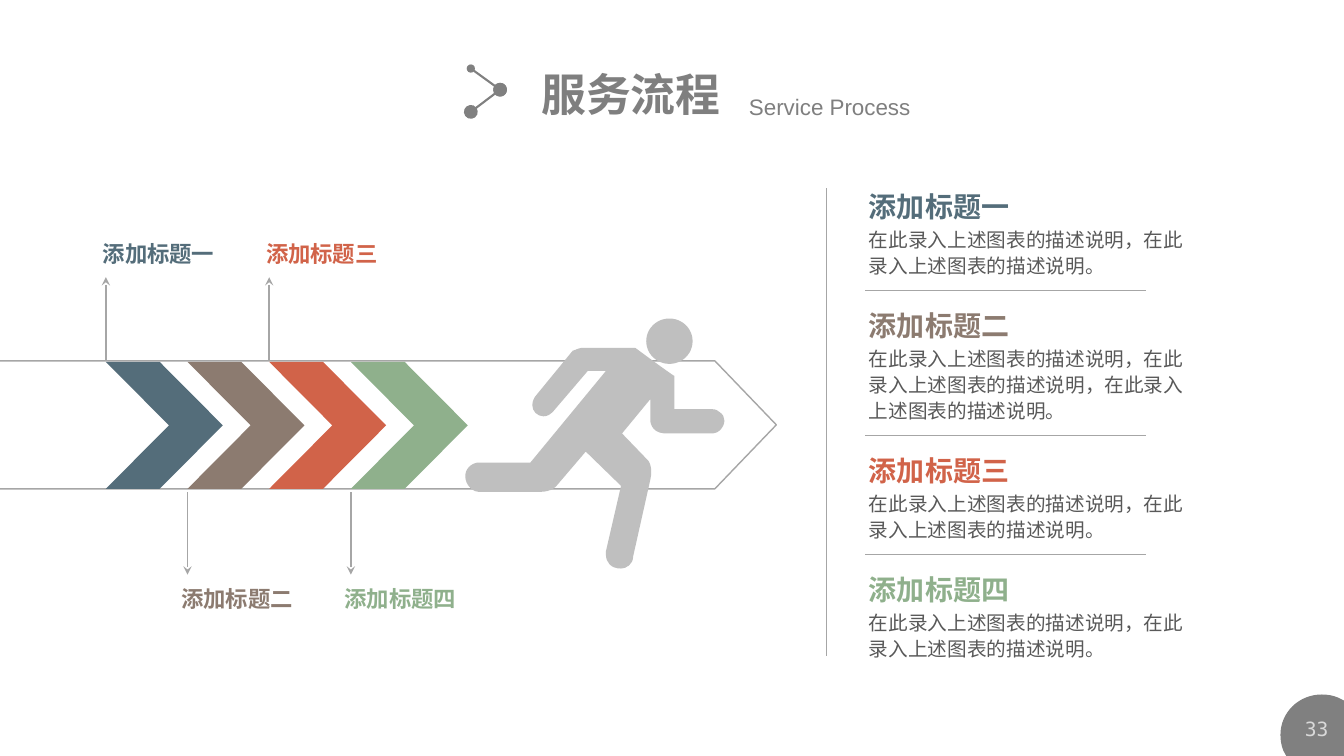
from pptx import Presentation
from pptx.dml.color import RGBColor
from pptx.enum.shapes import MSO_CONNECTOR, MSO_SHAPE
from pptx.enum.text import MSO_AUTO_SIZE, PP_ALIGN
from pptx.oxml.ns import qn
from pptx.util import Inches, Pt
from lxml.etree import SubElement

BLUE = RGBColor(0x54, 0x6D, 0x7A)
BROWN = RGBColor(0x8C, 0x7B, 0x70)
RED = RGBColor(0xD1, 0x63, 0x49)
GREEN = RGBColor(0x8F, 0xB0, 0x8C)
RUNNER_GRAY = RGBColor(0xBF, 0xBF, 0xBF)
LINE_GRAY = RGBColor(0xA6, 0xA6, 0xA6)
BADGE_GRAY = RGBColor(0x80, 0x80, 0x80)
TITLE_GRAY = RGBColor(0x7F, 0x7F, 0x7F)
BODY_GRAY = RGBColor(0x59, 0x59, 0x59)
NUMBER_GRAY = RGBColor(0xD9, 0xD9, 0xD9)

CJK_FONT = "Noto Sans CJK SC"
CHEVRON_STEP = 0.81
SENTENCE = "在此录入上述图表的描述说明"

# Step title, colour, number of sentences, top of its text block
STEPS = [
    ("添加标题一", BLUE, 2, 1.83),
    ("添加标题二", BROWN, 3, 3.01),
    ("添加标题三", RED, 2, 4.45),
    ("添加标题四", GREEN, 2, 5.63),
]
DIVIDER_TOPS = [2.88, 4.32, 5.5]

# Outlines: two numbers are a corner, six are a Bezier curve
BADGE = [
    (13.11, 6.89), (13.17, 6.89, 13.22, 6.9, 13.27, 6.92), (13.33, 6.95),
    (13.33, 7.52), (12.77, 7.52), (12.73, 7.45),
    (12.71, 7.4, 12.7, 7.35, 12.7, 7.29),
    (12.7, 7.07, 12.88, 6.89, 13.11, 6.89),
]
RUNNER_BODY = [
    (4.73, 4.59), (5.26, 4.59), (6.01, 3.68), (5.83, 3.68), (5.48, 4.09),
    (5.46, 4.11, 5.43, 4.13, 5.39, 4.13), (5.33, 4.13, 5.28, 4.08, 5.28, 4.02),
    (5.28, 3.98, 5.3, 3.94, 5.32, 3.92), (5.68, 3.48),
    (5.72, 3.47, 5.74, 3.45, 5.77, 3.45), (6.3, 3.45),
    (6.3, 3.45, 6.65, 3.71, 6.69, 3.73), (6.69, 4.06), (7.07, 4.06),
    (7.11, 4.06, 7.12, 4.08, 7.14, 4.09), (7.2, 4.13, 7.2, 4.21, 7.14, 4.27),
    (7.12, 4.29, 7.11, 4.29, 7.07, 4.3), (6.59, 4.3),
    (6.45, 4.29, 6.45, 4.17, 6.45, 4.17), (6.45, 3.96), (6.17, 4.3),
    (6.43, 4.57), (6.43, 4.57, 6.48, 4.63, 6.45, 4.76), (6.28, 5.52),
    (6.28, 5.6, 6.21, 5.64, 6.16, 5.64), (6.06, 5.64, 6.01, 5.58, 6.01, 5.5),
    (6.01, 5.47), (6.16, 4.82), (5.81, 4.48), (5.52, 4.82),
    (5.52, 4.82, 5.48, 4.88, 5.35, 4.88), (4.75, 4.88),
    (4.7, 4.88, 4.64, 4.84, 4.62, 4.76), (4.6, 4.69, 4.64, 4.61, 4.73, 4.59),
]


def style_shape(shape, fill=None, line=None):
    shape.shadow.inherit = False
    if fill is None:
        shape.fill.background()
    else:
        shape.fill.solid()
        shape.fill.fore_color.rgb = fill
    if line is None:
        shape.line.fill.background()
    else:
        shape.line.color.rgb = line
        shape.line.width = Pt(1)


def add_preset(slide, kind, left, top, width, height, fill=None, line=None, adjustment=None):
    shape = slide.shapes.add_shape(
        kind, Inches(left), Inches(top), Inches(width), Inches(height))
    if adjustment is not None:
        shape.adjustments[0] = adjustment
    style_shape(shape, fill, line)


def add_outline(slide, outline, fill):
    points = [(Inches(segment[i]), Inches(segment[i + 1]))
              for segment in outline for i in range(0, len(segment), 2)]
    builder = slide.shapes.build_freeform(*points[0])
    builder.add_line_segments(points[1:], close=True)
    shape = builder.convert_to_shape()
    style_shape(shape, fill)
    # Merge the three points of each curve into one Bezier segment
    lines = iter(list(shape._element.iter(qn("a:lnTo"))))
    for segment in outline[1:]:
        first = next(lines)
        if len(segment) == 6:
            first.tag = qn("a:cubicBezTo")
            for follower in (next(lines), next(lines)):
                first.append(follower[0])
                follower.getparent().remove(follower)


def add_line(slide, start, end, color=LINE_GRAY, width=1, ends=()):
    """Draw a line; ends holds (tag, type, size) for each decorated end."""
    connector = slide.shapes.add_connector(
        MSO_CONNECTOR.STRAIGHT, *[Inches(value) for value in start + end])
    connector.line.color.rgb = color
    connector.line.width = Pt(width)
    properties = connector._element.spPr
    for tag, kind, size in ends:
        SubElement(properties.find(qn("a:ln")), qn(tag), type=kind, w=size, len=size)
    SubElement(properties, qn("a:effectLst"))


def add_text(slide, text, left, top, width, height, size, color, font=CJK_FONT, bold=False,
             wrap=False, spacing=None, align=PP_ALIGN.LEFT, insets=(0.1, 0.05)):
    box = slide.shapes.add_textbox(
        Inches(left), Inches(top), Inches(width), Inches(height))
    frame = box.text_frame
    frame.word_wrap = wrap
    frame.auto_size = MSO_AUTO_SIZE.SHAPE_TO_FIT_TEXT
    frame.margin_left = frame.margin_right = Inches(insets[0])
    frame.margin_top = frame.margin_bottom = Inches(insets[1])
    paragraph = frame.paragraphs[0]
    paragraph.text = text
    paragraph.alignment = align
    paragraph.line_spacing = spacing
    paragraph.font.size = Pt(size)
    paragraph.font.bold = bold
    paragraph.font.color.rgb = color
    paragraph.font.name = font
    SubElement(paragraph._p.pPr.find(qn("a:defRPr")), qn("a:ea"), typeface=font)


def add_title(slide):
    joint = (4.96, 0.89)
    add_line(slide, (4.67, 0.68), joint, BADGE_GRAY, 1.5,
             [("a:headEnd", "oval", "med"), ("a:tailEnd", "oval", "lg")])
    add_line(slide, joint, (4.67, 1.11), BADGE_GRAY, 1.5,
             [("a:headEnd", "oval", "lg"), ("a:tailEnd", "oval", "lg")])
    add_text(slide, "服务流程", 5.27, 0.61, 2, 0.64, 32, TITLE_GRAY, "Arial", bold=True)
    add_text(slide, "Service Process", 7.33, 0.88, 2.52, 0.37, 16, TITLE_GRAY, "Arial", wrap=True)


def add_process_arrow(slide):
    add_preset(slide, MSO_SHAPE.PENTAGON, -0.07, 3.58, 7.77, 1.27,
               line=LINE_GRAY, adjustment=0.48)
    for index, (title, color, _, _) in enumerate(STEPS):
        left = 1.05 + index * CHEVRON_STEP
        add_preset(slide, MSO_SHAPE.CHEVRON, left, 3.59, 1.16, 1.26, color, adjustment=0.54)
        # Labels alternate above and below the arrow
        if index % 2 == 0:
            tip, base, label_top, label_shift = 2.75, 3.58, 2.33, 0.13
        else:
            tip, base, label_top, label_shift = 5.7, 4.88, 5.76, 0.16
        add_line(slide, (left, tip), (left, base), ends=[("a:headEnd", "stealth", "med")])
        add_text(slide, title, left - label_shift, label_top, 1.32, 0.37, 16, color, bold=True)


def add_runner(slide):
    add_preset(slide, MSO_SHAPE.OVAL, 6.41, 3.16, 0.46, 0.45, RUNNER_GRAY)
    add_outline(slide, RUNNER_BODY, RUNNER_GRAY)


def add_descriptions(slide):
    add_line(slide, (8.2, 1.87), (8.2, 6.51))
    for top in DIVIDER_TOPS:
        add_line(slide, (8.58, top), (11.37, top))
    for title, color, sentences, top in STEPS:
        body = "，".join([SENTENCE] * sentences) + "。"
        add_text(slide, title, 8.52, top, 1.6, 0.44, 20, color, bold=True)
        add_text(slide, body, 8.52, top + 0.36, 3.45, 0.1 + 0.26 * sentences, 14,
                 BODY_GRAY, wrap=True, spacing=1.1)


def add_page_number(slide):
    add_outline(slide, BADGE, BADGE_GRAY)
    add_text(slide, "33", 12.81, 7.07, 0.5, 0.31, 14, NUMBER_GRAY, "DejaVu Sans Mono",
             wrap=True, align=PP_ALIGN.CENTER, insets=(0.07, 0.04))


def main():
    presentation = Presentation()
    presentation.slide_width = Inches(13.33)
    presentation.slide_height = Inches(7.5)
    slide = presentation.slides.add_slide(presentation.slide_layouts[6])
    add_page_number(slide)
    add_process_arrow(slide)
    add_runner(slide)
    add_descriptions(slide)
    add_title(slide)
    presentation.save("out.pptx")


if __name__ == "__main__":
    main()
